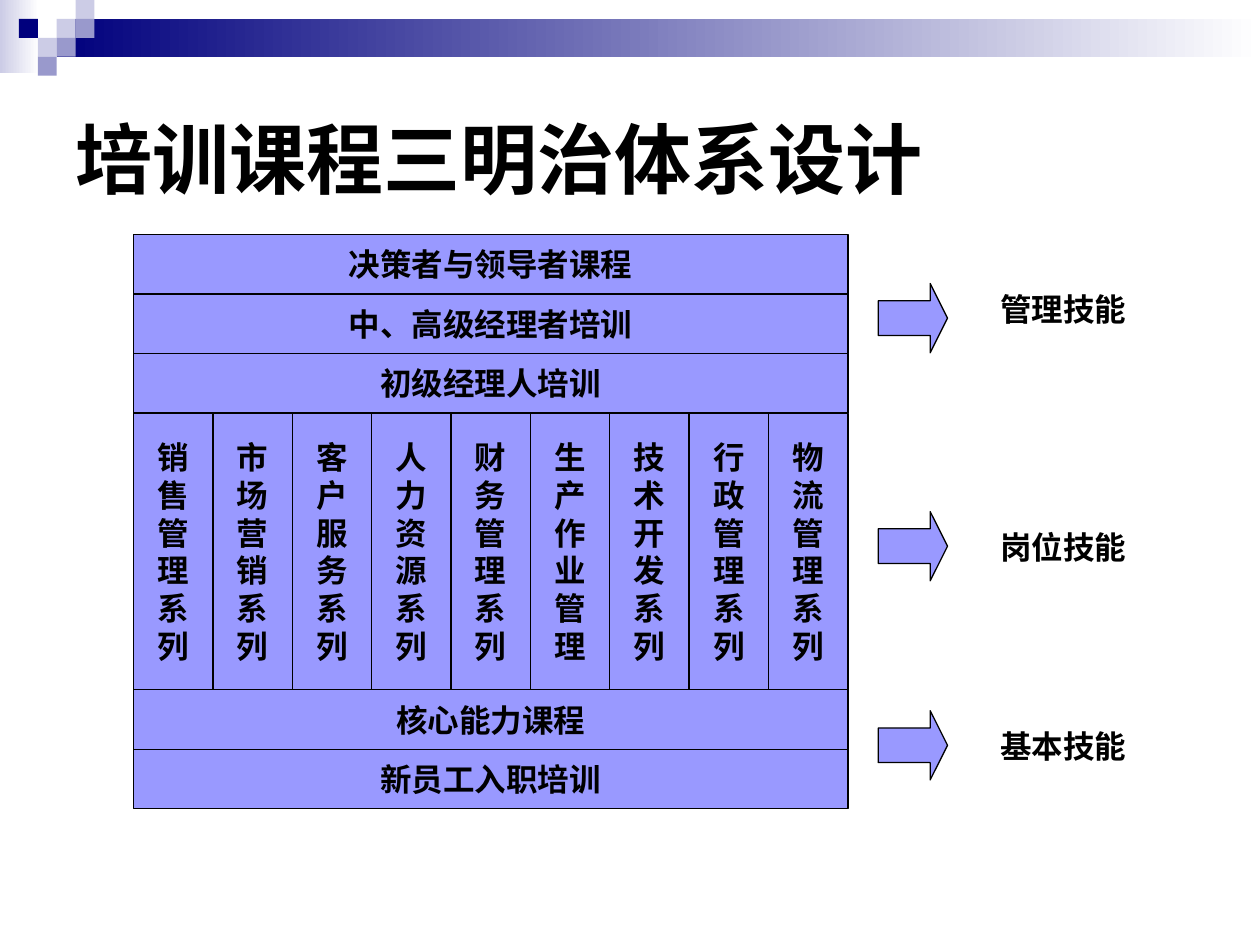
from dataclasses import dataclass

from pptx import Presentation
from pptx.dml.color import RGBColor
from pptx.enum.shapes import MSO_SHAPE
from pptx.enum.text import MSO_ANCHOR, MSO_AUTO_SIZE, PP_ALIGN
from pptx.util import Inches, Pt

RECTANGLE = MSO_SHAPE.RECTANGLE
RIGHT_ARROW = MSO_SHAPE.RIGHT_ARROW
TOP, MIDDLE = MSO_ANCHOR.TOP, MSO_ANCHOR.MIDDLE
LEFT, CENTER = PP_ALIGN.LEFT, PP_ALIGN.CENTER
FIT_SHAPE = MSO_AUTO_SIZE.SHAPE_TO_FIT_TEXT


@dataclass(frozen=True)
class Theme:
    font: str = "Arial"
    title_size: int = 44
    body_size: int = 18
    line_width: float = 0.75
    text: str = "000000"
    block: str = "9999FF"
    navy: str = "00007D"
    mid: str = "9999CC"
    pale: str = "CCCCE6"
    white: str = "FFFFFF"


THEME = Theme()

MANAGEMENT_COURSES = ["决策者与领导者课程", "中、高级经理者培训", "初级经理人培训"]
JOB_COURSES = [
    "销售管理系列", "市场营销系列", "客户服务系列",
    "人力资源系列", "财务管理系列", "生产作业管理",
    "技术开发系列", "行政管理系列", "物流管理系列",
]
BASIC_COURSES = ["核心能力课程", "新员工入职培训"]

# Skill name, top of its arrow, top of its label
SKILLS = [("管理技能", 2.25, 2.25), ("岗位技能", 4.06, 4.14), ("基本技能", 5.64, 5.72)]


def write_text(shape, text, size=THEME.body_size, align=LEFT, anchor=TOP, wrap=False):
    frame = shape.text_frame
    frame.word_wrap = wrap
    frame.vertical_anchor = anchor
    frame.text = text
    for paragraph in frame.paragraphs:
        paragraph.alignment = align
        paragraph.font.name = THEME.font
        paragraph.font.size = Pt(size)
        paragraph.font.bold = True
        paragraph.font.color.rgb = RGBColor.from_string(THEME.text)


def add_shape(slide, kind, left, top, width, height, fill=None, outlined=False):
    shape = slide.shapes.add_shape(
        kind, Inches(left), Inches(top), Inches(width), Inches(height))
    shape.shadow.inherit = False
    if fill:
        shape.fill.solid()
        shape.fill.fore_color.rgb = RGBColor.from_string(fill)
    if outlined:
        shape.line.color.rgb = RGBColor.from_string(THEME.text)
        shape.line.width = Pt(THEME.line_width)
    else:
        shape.line.fill.background()
    return shape


def add_text_box(slide, left, top, width, height, text, **text_format):
    box = slide.shapes.add_textbox(
        Inches(left), Inches(top), Inches(width), Inches(height))
    write_text(box, text, **text_format)
    return box


def add_fading_band(slide, left, top, width, height, color):
    band = add_shape(slide, RECTANGLE, left, top, width, height)
    band.fill.gradient()
    band.fill.gradient_angle = 180
    for stop, stop_color in zip(band.fill.gradient_stops, (THEME.white, color)):
        stop.color.rgb = RGBColor.from_string(stop_color)


def add_header(slide, left, top, width):
    """Fading bands with a mosaic of small squares at their left end."""
    square = 0.15
    add_fading_band(slide, left, top, 0.31, 0.58, THEME.pale)
    add_fading_band(slide, left + 3 * square, top + square,
                    width - 3 * square, 2 * square, THEME.navy)
    mosaic = [
        (3, 1, THEME.pale), (4, 0, THEME.pale), (4, 1, THEME.mid),
        (2, 2, THEME.pale), (1, 1, THEME.navy), (3, 2, THEME.mid),
        (2, 3, THEME.mid),
    ]
    for column, row, color in mosaic:
        add_shape(slide, RECTANGLE, left + column * square, top + row * square,
                  square, square, color)


def add_block(slide, left, top, width, height, text):
    block = add_shape(slide, RECTANGLE, left, top, width, height,
                      THEME.block, outlined=True)
    write_text(block, text, align=CENTER, anchor=MIDDLE)


def add_sandwich(slide, left, top, width, height):
    """Full-width layers above and below a row of upright columns."""
    layer_height = 0.473
    layer_count = len(MANAGEMENT_COURSES) + len(BASIC_COURSES)
    column_width = width / len(JOB_COURSES)
    column_height = height - layer_count * layer_height
    column_top = top + len(MANAGEMENT_COURSES) * layer_height

    for index, course in enumerate(MANAGEMENT_COURSES):
        add_block(slide, left, top + index * layer_height,
                  width, layer_height, course)
    for index, course in enumerate(JOB_COURSES):
        add_block(slide, left + index * column_width, column_top,
                  column_width, column_height, "\n".join(course))
    for index, course in enumerate(BASIC_COURSES):
        add_block(slide, left, column_top + column_height + index * layer_height,
                  width, layer_height, course)


def add_skills(slide, left):
    """An arrow and a label beside each part of the sandwich."""
    for skill, arrow_top, label_top in SKILLS:
        arrow = add_shape(slide, RIGHT_ARROW, left, arrow_top, 0.55, 0.55,
                          THEME.block, outlined=True)
        arrow.adjustments[0] = 0.5
        arrow.adjustments[1] = 0.25
        label = add_text_box(slide, left + 0.87, label_top, 1.2, 0.4, skill)
        label.text_frame.auto_size = FIT_SHAPE


def main():
    presentation = Presentation()
    presentation.slide_width = Inches(10)
    presentation.slide_height = Inches(7.5)
    slide = presentation.slides.add_slide(presentation.slide_layouts[6])

    add_header(slide, 0, 0, 10)
    add_text_box(slide, 0.5, 0.5, 9, 1.5, "培训课程三明治体系设计",
                 size=THEME.title_size, anchor=MIDDLE, wrap=True)
    add_sandwich(slide, 1.06, 1.86, 5.67, 4.56)
    add_skills(slide, 6.97)

    presentation.save("out.pptx")


if __name__ == "__main__":
    main()
